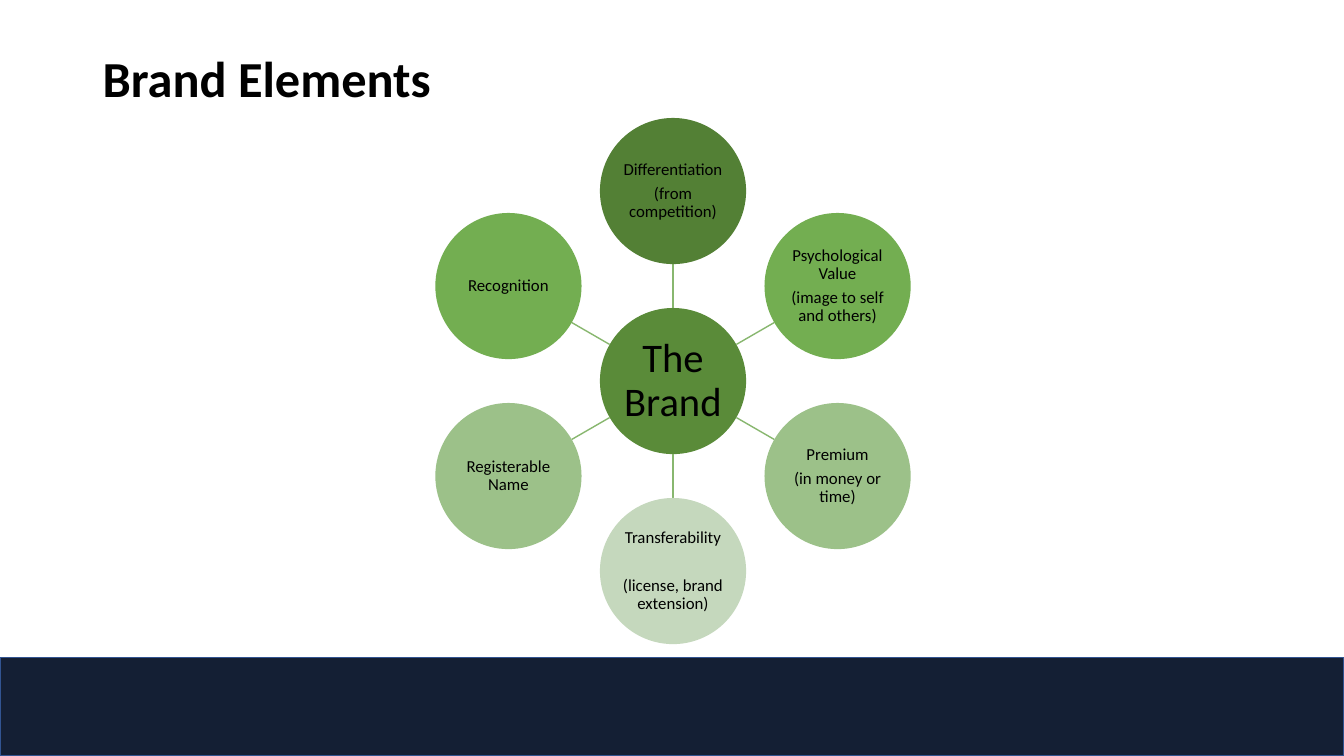
from math import cos, radians, sin

from lxml.etree import SubElement
from pptx import Presentation
from pptx.dml.color import RGBColor
from pptx.enum.shapes import MSO_CONNECTOR, MSO_SHAPE
from pptx.enum.text import MSO_ANCHOR, PP_ALIGN
from pptx.oxml.ns import qn
from pptx.util import Inches, Pt

# Content: the hub, then its satellites clockwise from the top
TITLE = "Brand Elements"
HUB = (["The Brand"], "5A8B39")
# (lines, fill, points after each line)
SATELLITES = [
    (["Differentiation", "(from competition)"], "538035", 4.2),
    (["Psychological Value", "(image to self and others)"], "73AE51", 4.2),
    (["Premium", "(in money or time)"], "9CC189", 4.2),
    (["Transferability", "(license, brand extension)"], "C5D8BD", 21.3),
    (["Registerable Name"], "9CC189", 4.2),
    (["Recognition"], "73AE51", 4.2),
]

# Layout in inches
W, H = 13.33, 7.5
BAND_TOP = H * 0.87
CX, CY = 6.675, 3.78
DIAMETER = 1.45
ORBIT = 1.3 * DIAMETER
FONT = "Calibri"


def rgb(value):
    return RGBColor.from_string(value)


def add_preset(kind, x, y, w, h, fill):
    sp = slide.shapes.add_shape(kind, Inches(x), Inches(y), Inches(w), Inches(h))
    sp.shadow.inherit = False
    sp.fill.solid()
    sp.fill.fore_color.rgb = rgb(fill)
    return sp


def style(p, size, bold=False):
    p.font.name, p.font.size, p.font.bold = FONT, Pt(size), bold
    p.font.color.rgb = rgb("000000")


def on_ray(angle, distance):
    return CX + distance * cos(angle), CY + distance * sin(angle)


def add_circle(x, y, lines, fill, size, gap, inset):
    r = DIAMETER / 2
    sp = add_preset(MSO_SHAPE.OVAL, x - r, y - r, DIAMETER, DIAMETER, fill)
    sp.line.fill.background()
    tf = sp.text_frame
    tf.word_wrap = True
    tf.vertical_anchor = MSO_ANCHOR.MIDDLE
    tf.margin_left = tf.margin_right = Inches(inset)
    tf.margin_top = tf.margin_bottom = Inches(inset)
    for i, line in enumerate(lines):
        p = tf.paragraphs[0] if i == 0 else tf.add_paragraph()
        p.text = line
        p.alignment = PP_ALIGN.CENTER
        p.line_spacing = 0.9
        p.space_after = Pt(gap)
        style(p, size)


def add_spoke(angle):
    ends = on_ray(angle, DIAMETER / 2) + on_ray(angle, ORBIT - DIAMETER / 2)
    line = slide.shapes.add_connector(MSO_CONNECTOR.STRAIGHT, *map(Inches, ends))
    line.line.color.rgb = rgb("88B76F")
    line.line.width = Pt(1)
    SubElement(line._element.spPr, qn("a:effectLst"))


prs = Presentation()
prs.slide_width, prs.slide_height = Inches(W), Inches(H)
slide = prs.slides.add_slide(prs.slide_layouts[6])

# Footer band
band = add_preset(MSO_SHAPE.RECTANGLE, 0, BAND_TOP, W, H - BAND_TOP, "141F34")
band.line.color.rgb = rgb("325491")
band.line.width = Pt(1)

# Title
box = slide.shapes.add_textbox(Inches(0.92), Inches(0.42), Inches(11.5), Inches(0.7))
box.text_frame.word_wrap = True
p = box.text_frame.paragraphs[0]
p.text = TITLE
style(p, 36, bold=True)

# Hub and satellites
add_circle(CX, CY, *HUB, size=29, gap=10, inset=0.02)
for i, (lines, fill, gap) in enumerate(SATELLITES):
    angle = radians(360 / len(SATELLITES) * i - 90)
    add_spoke(angle)
    add_circle(*on_ray(angle, ORBIT), lines, fill, size=12, gap=gap, inset=0.01)

prs.save("out.pptx")
